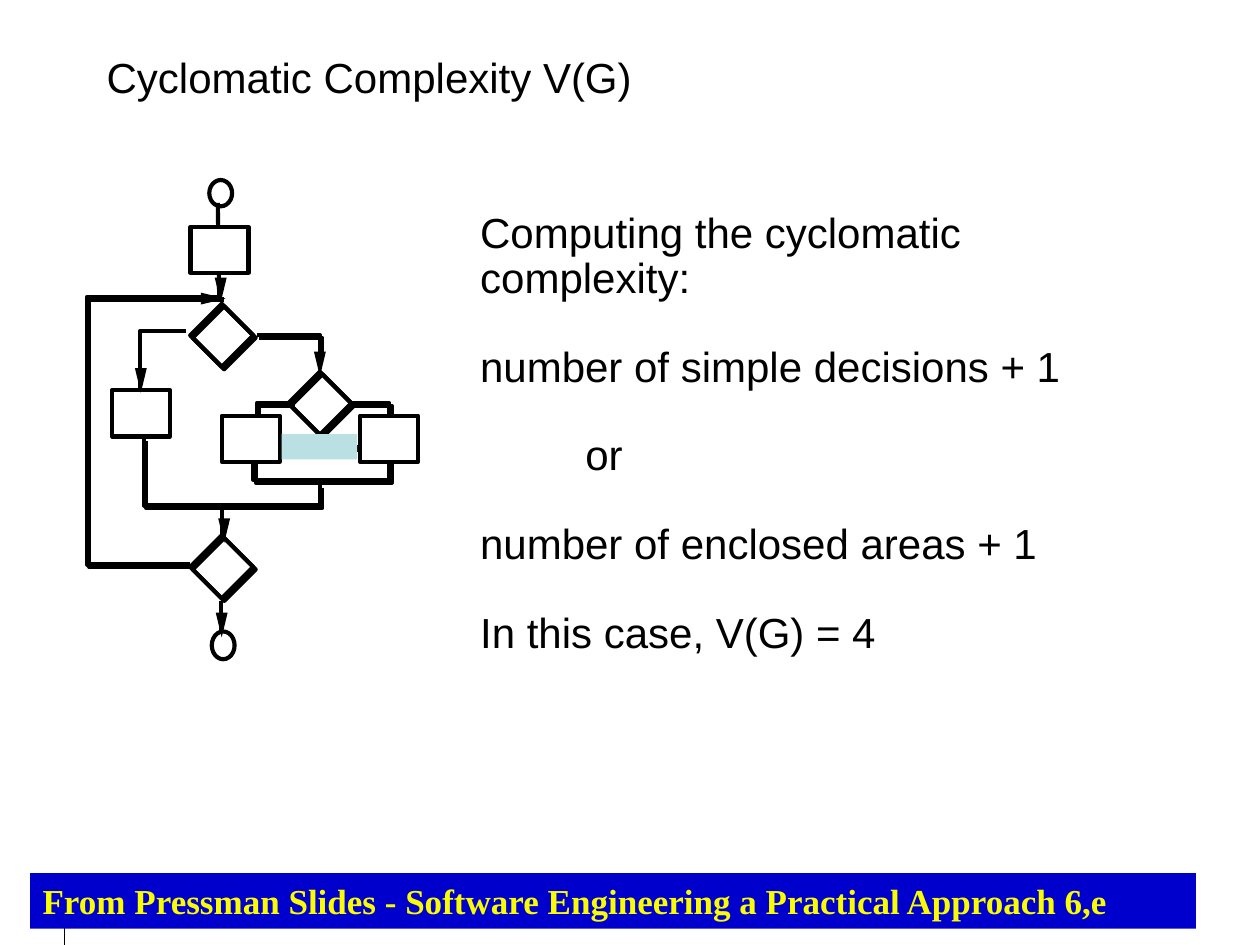
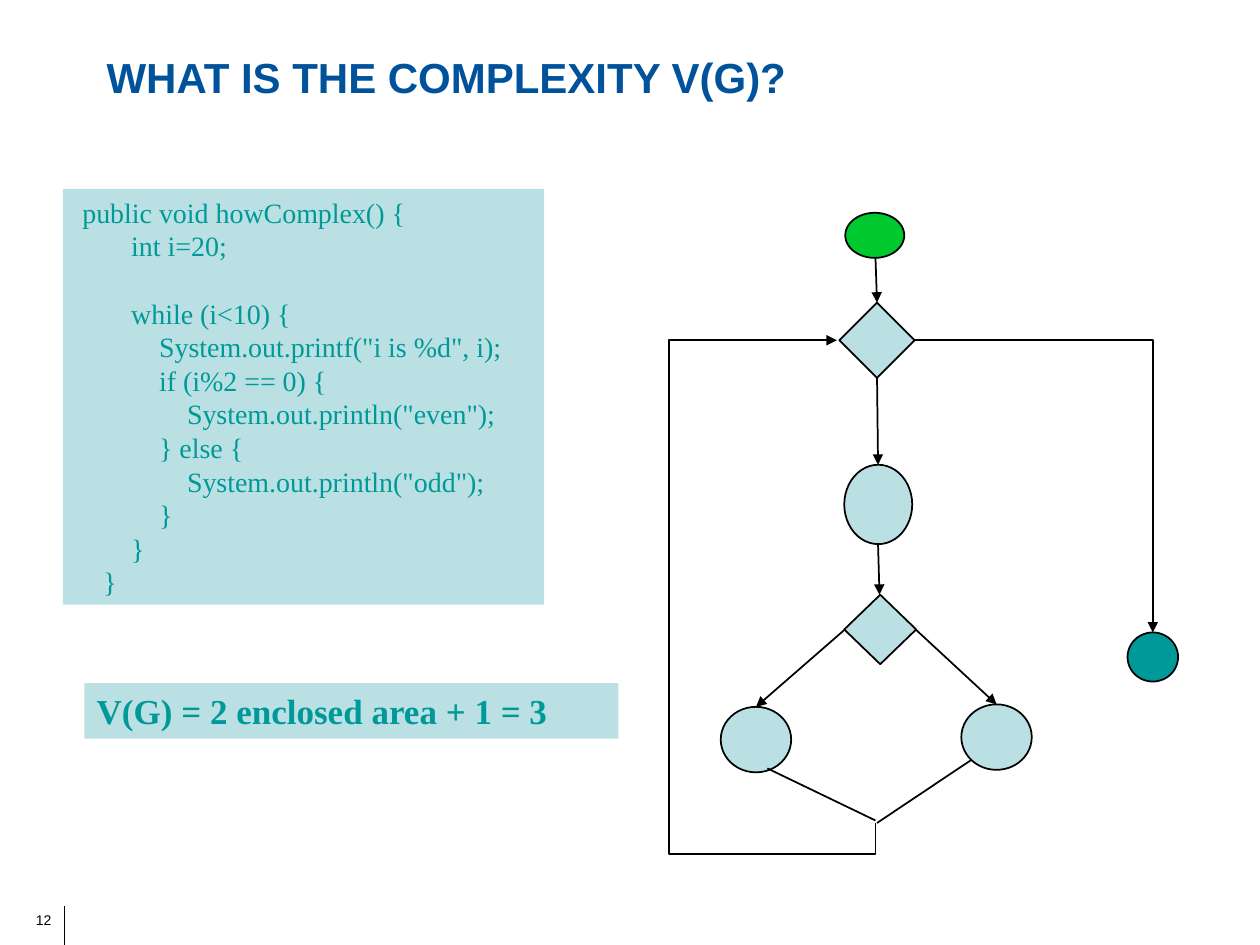
from lxml import etree
from pptx import Presentation
from pptx.dml.color import RGBColor
from pptx.enum.shapes import MSO_CONNECTOR, MSO_SHAPE
from pptx.enum.text import MSO_ANCHOR, PP_ALIGN
from pptx.oxml.ns import qn
from pptx.util import Cm, Pt

RECTANGLE, ELLIPSE, DIAMOND = MSO_SHAPE.RECTANGLE, MSO_SHAPE.OVAL, MSO_SHAPE.DIAMOND
STRAIGHT = MSO_CONNECTOR.STRAIGHT
LEFT, RIGHT = PP_ALIGN.LEFT, PP_ALIGN.RIGHT
TOP, MIDDLE = MSO_ANCHOR.TOP, MSO_ANCHOR.MIDDLE

SANS, SERIF = "Arial", "Times New Roman"
BLACK, WHITE = "000000", "FFFFFF"
PALE, TEAL, GREEN = "BBE0E3", "009999", "00C930"
TITLE_BLUE, BAND_BLUE, YELLOW = "00529B", "0000CC", "FAFD00"
THICK, THIN = 2.38, 1
ECHO = 0.05  # offset in cm of the second stroke of a heavy outline


def color(hex_text):
    return RGBColor.from_string(hex_text)


def lengths(values):
    return [Cm(value) for value in values]


def write(frame, paragraphs, size=24, font=SANS, ink=BLACK, bold=False,
          align=LEFT, anchor=TOP, margins=(0.25, 0.13, 0.25, 0.13), spacing=None):
    """Fill a frame; a paragraph is text or (text, space before in points, indent in cm)."""
    frame.word_wrap = True
    frame.vertical_anchor = anchor
    (frame.margin_left, frame.margin_top,
     frame.margin_right, frame.margin_bottom) = lengths(margins)
    for index, item in enumerate(paragraphs):
        text, before, indent = (item, 0, 0) if isinstance(item, str) else item
        para = frame.paragraphs[0] if index == 0 else frame.add_paragraph()
        para.alignment = align
        if spacing:
            para.line_spacing = spacing
        if before:
            para.space_before = Pt(before)
        if indent:
            para._p.get_or_add_pPr().set("marL", str(Cm(indent)))
        span = para.add_run()
        span.text = text
        span.font.name, span.font.size, span.font.bold = font, Pt(size), bold
        span.font.color.rgb = color(ink)


class Painter:
    """Holds the deck, the page being drawn and the shared style."""

    def __init__(self):
        self.deck = Presentation()
        self.deck.slide_width, self.deck.slide_height = Cm(25.4), Cm(19.05)
        self.page = None

    def new_page(self, title, number=None, **title_format):
        self.page = self.deck.slides.add_slide(self.deck.slide_layouts[6])
        self.line((1.3, 18.26), (1.3, 19.05), width=0.75)
        if number:
            self.text((0.13, 18.24, 0.91, 0.58), [number], size=8, align=RIGHT,
                      margins=(0.25, 0.13, 0, 0.13))
        self.text((1.9, 0.28, 21.59, 2.54), [title], anchor=MIDDLE, **title_format)

    def text(self, place, paragraphs, **text_format):
        box = self.page.shapes.add_textbox(*lengths(place))
        write(box.text_frame, paragraphs, **text_format)

    def finish(self, shape, fill, width, arrow=False):
        """Set the fill, the black outline and the arrowhead; None leaves a part out."""
        shape.shadow.inherit = False
        if fill:
            shape.fill.solid()
            shape.fill.fore_color.rgb = color(fill)
        else:
            shape.fill.background()
        if width:
            self.stroke(shape.line, width, arrow)
        else:
            shape.line.fill.background()

    def stroke(self, line, width, arrow):
        line.color.rgb = color(BLACK)
        line.width = Pt(width)
        if arrow:
            etree.SubElement(line._get_or_add_ln(), qn("a:tailEnd"), type="triangle")

    def shape(self, kind, place, fill=None, width=None):
        shape = self.page.shapes.add_shape(kind, *lengths(place))
        self.finish(shape, fill, width)
        return shape

    def panel(self, place, paragraphs, fill, **text_format):
        panel = self.shape(RECTANGLE, place, fill)
        write(panel.text_frame, paragraphs, **text_format)

    def line(self, start, end, width=THIN, arrow=False):
        line = self.page.shapes.add_connector(STRAIGHT, *lengths(start + end))
        self.stroke(line.line, width, arrow)
        etree.SubElement(line._element.spPr, qn("a:effectLst"))

    def route(self, points, width=THIN, fill=None, closed=False, arrow=False):
        """Draw a path through points, open unless closed is set."""
        corners = [tuple(lengths(point)) for point in points]
        builder = self.page.shapes.build_freeform(*corners[0])
        builder.add_line_segments(corners[1:], close=closed)
        self.finish(builder.convert_to_shape(), fill, width, arrow)

    def heavy_route(self, points, closed=False):
        for shift in (ECHO, 0):
            self.route([(x + shift, y + shift) for x, y in points], THICK, closed=closed)

    def heavy_decision(self, x, y, size=1.27):
        for shift, fill in ((ECHO, WHITE), (0, None)):
            corner = (x - size / 2 + shift, y - size / 2 + shift)
            self.shape(DIAMOND, corner + (size, size), fill, THICK)

    def arrowhead(self, x, y, rightward=False):
        """Draw a slim black head with its tip at x, y, pointing down or right."""
        length, half = 0.5, 0.12
        if rightward:
            base = [(x - length, y - half), (x - length, y + half)]
        else:
            base = [(x - half, y - length), (x + half, y - length)]
        self.route([(x, y)] + base, None, fill=BLACK, closed=True)


def draw_computation(painter):
    painter.new_page("Cyclomatic Complexity V(G)")

    for center in ((6.45, 8.13), (4.47, 6.76), (4.47, 11.43)):
        painter.heavy_decision(*center)
    painter.shape(ELLIPSE, (4.22, 3.63, 0.46, 0.53), WHITE, THICK)

    loop_back = [(3.84, 11.38), (1.75, 11.38), (1.75, 5.99), (4.47, 5.99)]
    first_right = [(5.18, 6.76), (6.45, 6.76), (6.45, 7.19)]
    second_right = [(7.09, 8.13), (7.85, 8.13), (7.85, 8.76)]
    second_left = [(5.89, 8.13), (5.18, 8.13), (5.18, 8.92)]
    outer_merge = [(6.45, 9.78), (6.45, 10.19), (2.9, 10.19), (2.9, 8.84)]
    for points in (loop_back, first_right, second_right, second_left, outer_merge):
        painter.heavy_route(points)
    inner_merge = [(5.11, 9.02), (7.85, 9.02), (7.85, 9.68), (5.11, 9.68)]
    painter.heavy_route(inner_merge, closed=True)
    painter.route([(3.76, 6.68), (2.82, 6.68), (2.82, 7.82)], THICK)

    for start, end in (((4.39, 4.09), (4.42, 6.07)),
                       ((4.47, 10.21), (4.47, 10.85)),
                       ((4.45, 12.12), (4.45, 12.73))):
        painter.line(start, end, THICK)

    for left, top in ((3.84, 4.57), (4.47, 8.38), (7.26, 8.38), (2.26, 7.87)):
        painter.shape(RECTANGLE, (left, top, 1.17, 0.93), WHITE, THICK)
    painter.shape(ELLIPSE, (4.27, 12.73, 0.46, 0.56), WHITE, THICK)

    painter.arrowhead(4.55, 6.02, rightward=True)
    for tip in ((6.45, 7.59), (2.84, 7.92), (4.52, 10.95), (4.45, 6.1), (4.47, 12.85)):
        painter.arrowhead(*tip)
    painter.shape(RECTANGLE, (5.68, 8.75, 1.52, 0.51), PALE)

    gap = 24.8
    painter.text((9.68, 4.27, 12.7, 8.8), [
        "Computing the cyclomatic complexity:",
        ("number of simple decisions + 1", gap, 0),
        ("or", gap, 2.12),
        ("number of enclosed areas + 1", gap, 0),
        ("In this case, V(G) = 4", gap, 0),
    ], margins=(0, 0, 0, 0), spacing=0.9)

    painter.panel((0.61, 17.6, 23.5, 1.12),
                  ["From Pressman Slides - Software Engineering a Practical Approach 6,e"],
                  BAND_BLUE, size=20, font=SERIF, ink=YELLOW, bold=True)


def draw_question(painter):
    painter.new_page("WHAT IS THE COMPLEXITY V(G)?", number="12",
                     ink=TITLE_BLUE, bold=True)

    line_height = 19.2
    painter.panel((1.27, 3.81, 9.7, 8.38), [
        " public void howComplex() {",
        "        int i=20;",
        ("        while (i<10) {", line_height, 0),
        '            System.out.printf("i is %d", i);',
        "            if (i%2 == 0) {",
        '                System.out.println("even");',
        "            } else {",
        '                System.out.println("odd");',
        "            }",
        "        }",
        "    }",
    ], PALE, size=16, font=SERIF, ink=TEAL, spacing=Pt(line_height))

    for kind, place, fill in (
            (ELLIPSE, (17.04, 4.29, 1.19, 0.91), GREEN),
            (DIAMOND, (16.92, 6.1, 1.52, 1.52), PALE),
            (ELLIPSE, (17.02, 9.37, 1.37, 1.6), PALE),
            (DIAMOND, (17.02, 11.99, 1.45, 1.4), PALE),
            (ELLIPSE, (14.53, 14.25, 1.42, 1.32), PALE),
            (ELLIPSE, (19.38, 14.2, 1.42, 1.32), PALE),
            (ELLIPSE, (22.73, 12.75, 1.02, 0.99), TEAL)):
        painter.shape(kind, place, fill, THIN)

    for start, end, arrow in (
            ((17.65, 5.21), (17.68, 6.1), True),
            ((17.68, 7.62), (17.7, 9.37), True),
            ((17.7, 10.97), (17.73, 11.99), True),
            ((17.02, 12.7), (15.24, 14.25), True),
            ((18.47, 12.7), (20.09, 14.2), True),
            ((15.47, 15.49), (17.65, 16.54), False),
            ((19.58, 15.32), (17.68, 16.59), False)):
        painter.line(start, end, arrow=arrow)

    loop_back = [(17.65, 16.59), (17.65, 17.22), (13.49, 17.22), (13.49, 6.86), (16.87, 6.86)]
    leave_loop = [(18.44, 6.86), (23.24, 6.86), (23.24, 12.75)]
    for points in (loop_back, leave_loop):
        painter.route(points, arrow=True)

    painter.panel((1.7, 13.77, 10.77, 1.12), ["V(G) = 2 enclosed area + 1 = 3"],
                  PALE, size=20, font=SERIF, ink=TEAL, bold=True)


def main():
    painter = Painter()
    draw_computation(painter)
    draw_question(painter)
    painter.deck.save("out.pptx")


if __name__ == "__main__":
    main()
